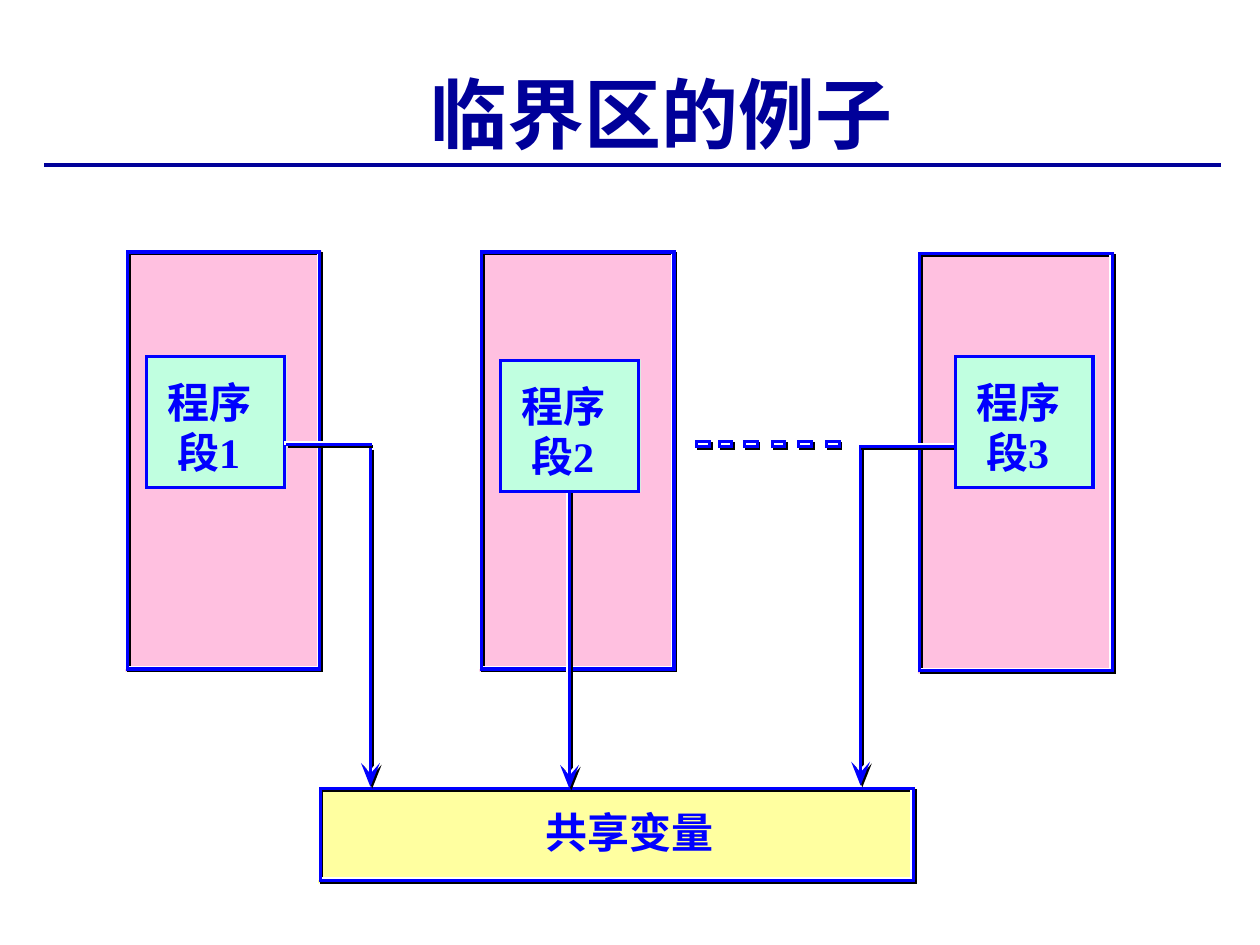
from dataclasses import dataclass, replace
from typing import Optional

from lxml.etree import SubElement
from pptx import Presentation
from pptx.dml.color import RGBColor
from pptx.enum.shapes import MSO_CONNECTOR as Line, MSO_SHAPE as Shape
from pptx.enum.text import MSO_ANCHOR as Anchor, MSO_AUTO_SIZE as AutoSize, PP_ALIGN as Align
from pptx.oxml.ns import qn
from pptx.util import Inches, Pt

NAVY = RGBColor(0x00, 0x00, 0x99)
BLUE = RGBColor(0x00, 0x00, 0xFF)
BLACK = RGBColor(0x00, 0x00, 0x00)
WHITE = RGBColor(0xFF, 0xFF, 0xFF)
PINK = RGBColor(0xFF, 0xC0, 0xE0)
MINT = RGBColor(0xC0, 0xFF, 0xE0)
YELLOW = RGBColor(0xFF, 0xFF, 0xA0)

COLS, ROWS = 100, 75
STROKE = 1.75
BEVEL = ((0.14, BLACK), (-0.14, WHITE), (0, BLUE))
HEAD = ((-0.75, -1.9), (0, -1.05), (0.75, -1.9))
DASH_COLS = (55.3, 57.1, 59.1, 61.3, 63.4, 65.6)

prs = Presentation()
prs.slide_width, prs.slide_height = Inches(10), Inches(7.5)
s = prs.slides.add_slide(prs.slide_layouts[5])


@dataclass(frozen=True)
class Box:
    col: float
    row: float
    cols: float
    rows: float

    def shift(self, dc: float, dr: float) -> "Box":
        return replace(self, col=self.col + dc, row=self.row + dr)

    def emu(self) -> tuple:
        return x(self.col), y(self.row), x(self.cols), y(self.rows)


@dataclass(frozen=True)
class Process:
    frame: Box
    segment: Box
    label: str


@dataclass(frozen=True)
class Arrow:
    col: float
    start: float
    tip: float


def x(cols: float) -> int:
    return round(prs.slide_width * cols / COLS)


def y(rows: float) -> int:
    return round(prs.slide_height * rows / ROWS)


def set_all(obj, formats: dict) -> None:
    for name, value in formats.items():
        setattr(obj, name, value)


def paint(sp, fill: Optional[RGBColor], line: Optional[RGBColor], width: float = STROKE) -> None:
    sp.shadow.inherit = False
    if fill is None:
        sp.fill.background()
    else:
        sp.fill.solid()
        sp.fill.fore_color.rgb = fill
    if line is None:
        sp.line.fill.background()
    else:
        sp.line.color.rgb = line
        sp.line.width = Pt(width)
        SubElement(sp._element.spPr.find(qn("a:ln")), qn("a:miter"), lim="800000")


def add_box(box: Box, fill=None, line=None, kind=Shape.RECTANGLE, width: float = STROKE) -> None:
    paint(s.shapes.add_shape(kind, *box.emu()), fill, line, width)


def add_line(c1: float, r1: float, c2: float, r2: float, color: RGBColor, width: float = STROKE) -> None:
    sp = s.shapes.add_connector(Line.STRAIGHT, x(c1), y(r1), x(c2), y(r2))
    sp.line.color.rgb = color
    sp.line.width = Pt(width)
    SubElement(sp._element.spPr, qn("a:effectLst"))


def add_bevel_frame(box: Box) -> None:
    for d, color in BEVEL:
        add_box(box.shift(d, d), line=color)


def add_bevel_line(c1: float, c2: float, row: float) -> None:
    for d, color in BEVEL:
        add_line(c1 + d, row + d, c2 + d, row + d, color)


def add_arrow(arrow: Arrow) -> None:
    for d, color in BEVEL:
        col, tip = arrow.col + d, arrow.tip + d
        add_line(col, arrow.start + d, col, tip - 0.7, color)
        head = s.shapes.build_freeform(x(col), y(tip))
        head.add_line_segments([(x(col + dc), y(tip + dr)) for dc, dr in HEAD], close=True)
        paint(head.convert_to_shape(), color, None)


def add_label(box: Box, lines: tuple) -> None:
    tf = s.shapes.add_textbox(*box.emu()).text_frame
    set_all(tf, dict(margin_left=0, margin_right=0, margin_top=0, margin_bottom=0,
                     word_wrap=False, auto_size=AutoSize.SHAPE_TO_FIT_TEXT))
    for i, text in enumerate(lines):
        p = tf.add_paragraph() if i else tf.paragraphs[0]
        r = p.add_run()
        r.text = text
        set_all(r.font, dict(name="Times New Roman", size=Pt(24), bold=True))
        r.font.color.rgb = BLUE


def add_panel(frame: Box, fill: RGBColor) -> None:
    backing = Box(frame.col - 0.14, frame.row - 0.1, frame.cols + 0.3, frame.rows + 0.3)
    add_box(backing, fill=fill)


def add_segment(process: Process) -> None:
    seg = process.segment
    add_box(seg, fill=MINT)
    add_label(Box(seg.col + 1.65, seg.row + 1.65, 6.8, 8), ("程序", process.label))
    add_box(Box(seg.col, seg.row + 0.1, 10.9, 10.4), line=BLUE)


def add_title(text: str) -> None:
    sp = s.shapes.title
    sp.left, sp.top, sp.width, sp.height = Box(6.7, 0, 91.6, 13.1).emu()
    tf = sp.text_frame
    set_all(tf, dict(vertical_anchor=Anchor.BOTTOM, word_wrap=True, auto_size=AutoSize.NONE))
    p = tf.paragraphs[0]
    p.alignment = Align.CENTER
    r = p.add_run()
    r.text = text
    set_all(r.font, dict(name="Karla", size=Pt(44), bold=True))
    r.font.color.rgb = NAVY


def main() -> None:
    first, second, third = processes = [
        Process(Box(col, row, 15.3, 33.1), Box(seg_col, seg_row, 11.1, 10.5), label)
        for col, row, seg_col, seg_row, label in (
            (10.1, 20, 11.65, 28.2, " 段1"),
            (38.2, 20, 39.75, 28.55, " 段2"),
            (73, 20.15, 75.85, 28.2, " 段3"),
        )
    ]
    shared = Box(25.4, 62.6, 47.1, 7.3)

    add_title("临界区的例子")
    add_line(3.5, 13.1, 96.9, 13.1, NAVY, 2.5)
    for process in processes:
        add_panel(process.frame, PINK)
        add_bevel_frame(process.frame)

    add_segment(first)
    add_panel(shared, YELLOW)
    add_label(Box(43.3, 64, 14, 4), ("共享变量",))
    add_bevel_frame(shared)

    add_arrow(Arrow(29.4, 35.55, 62.45))
    add_bevel_line(22.7, 29.5, 35.3)
    add_arrow(Arrow(45.2, 38.85, 62.6))
    add_arrow(Arrow(68.3, 35.45, 62.35))
    add_bevel_line(68.2, 76, 35.45)

    for col in DASH_COLS:
        dash = Box(col, 35.05, 1, 0.4)
        add_box(Box(col + 0.3, 35.2, 0.5, 0.1), BLACK, BLACK, Shape.OVAL, 0.25)
        add_bevel_frame(dash)

    for process in (second, third):
        add_segment(process)
    prs.save("out.pptx")


if __name__ == "__main__":
    main()
